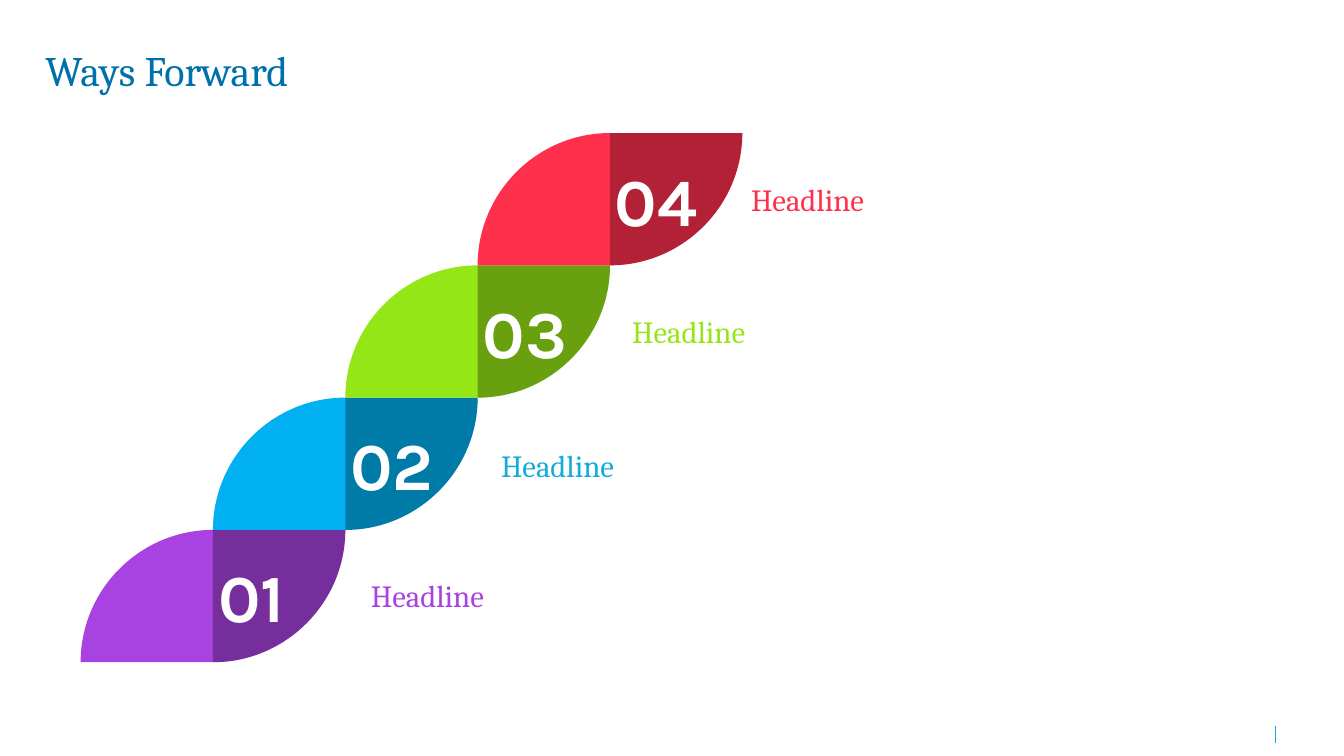
from lxml.etree import SubElement
from pptx import Presentation
from pptx.dml.color import RGBColor
from pptx.enum.shapes import MSO_CONNECTOR
from pptx.enum.text import MSO_ANCHOR, MSO_AUTO_SIZE, PP_ALIGN
from pptx.oxml.ns import qn
from pptx.util import Inches, Pt

TITLE_BLUE = RGBColor(0x00, 0x70, 0xAD)
CYAN = RGBColor(0x12, 0xAB, 0xDB)
SKY = RGBColor(0x00, 0xB0, 0xF0)
PURPLE = RGBColor(0xA8, 0x42, 0xE0)
GREEN = RGBColor(0x95, 0xE6, 0x16)
RED = RGBColor(0xFF, 0x30, 0x4C)
BLACK = RGBColor(0x00, 0x00, 0x00)
WHITE = RGBColor(0xFF, 0xFF, 0xFF)

# The staircase climbs one square step up and right per stage
STAIR_LEFT, STAIR_TOP = Inches(0.8), Inches(1.32)
STEP = Inches(5.25) // 4
NUMBER_HEIGHT = Inches(0.88)
ARC_PULL = 0.55  # control point distance of a quarter circle, in radii

# number, leaf colour, headline colour, headline left, top, width
STAGES = [
    ("01", PURPLE, PURPLE, 3.68, 5.72, 4.97),
    ("02", SKY, CYAN, 4.97, 4.43, 4.92),
    ("03", GREEN, GREEN, 6.27, 3.1, 5.05),
    ("04", RED, RED, 7.45, 1.79, 5.23),
]


def round_diagonals(outline):
    """Turn each diagonal edge into a quarter circle that starts vertically."""
    start = None
    for edge in list(outline._element.iter(qn("a:moveTo"), qn("a:lnTo"))):
        x, y = int(edge[0].get("x")), int(edge[0].get("y"))
        if start and x != start[0] and y != start[1]:
            edge.tag = qn("a:cubicBezTo")
            edge.remove(edge[0])
            first = (start[0], start[1] + ARC_PULL * (y - start[1]))
            second = (x + ARC_PULL * (start[0] - x), y)
            for point_x, point_y in (first, second, (x, y)):
                SubElement(edge, qn("a:pt"), x=str(round(point_x)), y=str(round(point_y)))
        start = (x, y)


def add_outline(shapes, points, color):
    builder = shapes.build_freeform(*points[0], scale=1.0)
    builder.add_line_segments(points[1:], close=True)
    outline = builder.convert_to_shape()
    round_diagonals(outline)
    outline.shadow.inherit = False
    outline.fill.solid()
    outline.fill.fore_color.rgb = color
    outline.line.fill.background()
    return outline


def add_run(paragraph, text, font_name, size, color, bold=False):
    run = paragraph.add_run()
    run.text = text
    run.font.name = font_name
    run.font.size = Pt(size)
    run.font.bold = bold
    run.font.color.rgb = color


def set_frame(frame, margin, anchor, auto_size):
    frame.word_wrap = True
    frame.vertical_anchor = anchor
    frame.auto_size = auto_size
    frame.margin_left = frame.margin_right = margin
    frame.margin_top = frame.margin_bottom = margin


def add_label(shapes, left, top, width, height, margin, *run_style):
    label = shapes.add_textbox(left, top, width, height)
    set_frame(label.text_frame, margin, MSO_ANCHOR.MIDDLE,
              MSO_AUTO_SIZE.SHAPE_TO_FIT_TEXT)
    add_run(label.text_frame.paragraphs[0], *run_style)


def add_title(slide, text):
    title = slide.shapes.title
    title.left, title.top = Inches(0.45), Inches(0.44)
    title.width, title.height = Inches(12.05), Inches(0.57)
    set_frame(title.text_frame, 0, MSO_ANCHOR.TOP, MSO_AUTO_SIZE.NONE)
    paragraph = title.text_frame.paragraphs[0]
    paragraph.alignment = PP_ALIGN.LEFT
    add_run(paragraph, text, "Cambria", 30, TITLE_BLUE)


def add_footer_mark(slide):
    mark = slide.shapes.add_connector(
        MSO_CONNECTOR.STRAIGHT, Inches(12.65), Inches(7.37), Inches(12.65), Inches(7.2))
    mark.line.color.rgb = CYAN
    mark.line.width = Pt(1)
    SubElement(mark._element.spPr, qn("a:effectLst"))


def add_stage(slide, index, number, color):
    left = STAIR_LEFT + index * STEP
    top = STAIR_TOP + (len(STAGES) - 1 - index) * STEP
    middle, right, bottom = left + STEP, left + 2 * STEP, top + STEP

    # Leaf with two rounded corners
    add_outline(slide.shapes, [(middle, top), (right, top), (middle, bottom),
                               (left, bottom), (middle, top)], color)

    # Darker right half with its number
    badge = slide.shapes.add_group_shape()
    shade = add_outline(badge.shapes, [(right, top), (middle, bottom), (middle, top)], BLACK)
    shade_color = shade._element.spPr.find(qn("a:solidFill"))[0]
    SubElement(shade_color, qn("a:alpha"), val="30000")
    add_label(badge.shapes, middle, top + (STEP - NUMBER_HEIGHT) // 2, STEP,
              NUMBER_HEIGHT, Inches(0.05), number, "Karla", 48, WHITE, True)


def main():
    presentation = Presentation()
    presentation.slide_width = Inches(13.33)
    presentation.slide_height = Inches(7.5)
    slide = presentation.slides.add_slide(presentation.slide_layouts[5])

    add_footer_mark(slide)
    add_title(slide, "Ways Forward")

    # Staircase and headlines
    for index, (number, leaf_color, text_color, left, top, width) in enumerate(STAGES):
        add_stage(slide, index, number, leaf_color)
        add_label(slide.shapes, Inches(left), Inches(top), Inches(width),
                  Inches(0.37), 0, "Headline", "Cambria", 22, text_color)

    presentation.save("out.pptx")


if __name__ == "__main__":
    main()
